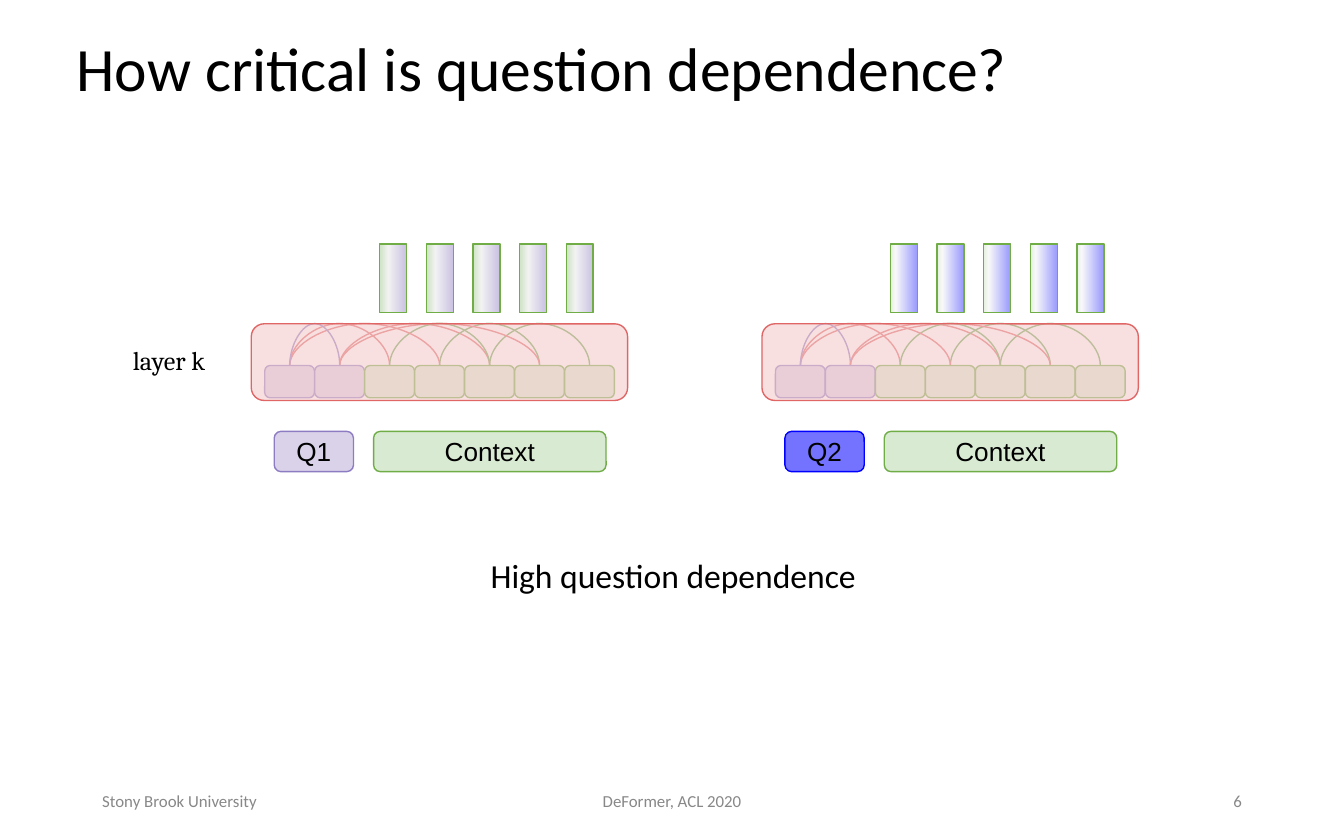
from lxml import etree
from pptx import Presentation
from pptx.dml.color import RGBColor
from pptx.enum.shapes import MSO_CONNECTOR, MSO_SHAPE
from pptx.enum.text import MSO_ANCHOR, PP_ALIGN
from pptx.oxml import parse_xml
from pptx.oxml.ns import nsdecls, qn
from pptx.util import Inches, Pt

LEFT, CENTER, RIGHT = PP_ALIGN.LEFT, PP_ALIGN.CENTER, PP_ALIGN.RIGHT
TOP, MIDDLE = MSO_ANCHOR.TOP, MSO_ANCHOR.MIDDLE
RECT, ROUND = MSO_SHAPE.RECTANGLE, MSO_SHAPE.ROUNDED_RECTANGLE
CURVE = MSO_CONNECTOR.CURVE

THEME = {
    "black": "000000", "gray": "888888",
    "question": ("D9D2E9", "8E7CC3"), "context": ("D9EAD3", "70AD47"),
    "layer": ("F4CCCC", "E06666"), "blue": ("0000FF", "0000FF"),
    "cross": "E06666", "within": "6AA84F", "q_arc": "8E7CC3",
    "title_pt": 33, "caption_pt": 18, "label_pt": 14, "footer_pt": 9,
    "line_pt": 0.75, "corner": 0.167,
}

# Content: text, box, font, size, colour, alignment, anchor, insets (x, y)
THIN, WIDE = (0.07, 0.04), (0.1, 0.1)
TEXTS = [
    ("How critical is question dependence?", (0.5, 0.12, 9, 0.83),
     "Calibri", "title_pt", "black", LEFT, MIDDLE, THIN),
    ("Stony Brook University", (0.69, 5.79, 2.25, 0.33),
     "Calibri", "footer_pt", "gray", LEFT, MIDDLE, THIN),
    ("DeFormer, ACL 2020", (3.31, 5.79, 3.38, 0.33),
     "Calibri", "footer_pt", "gray", CENTER, MIDDLE, THIN),
    ("6", (7.06, 5.79, 2.25, 0.33),
     "Calibri", "footer_pt", "gray", RIGHT, MIDDLE, THIN),
    ("High question dependence", (3.4, 4.08, 3.22, 0.4),
     "Calibri", "caption_pt", "black", CENTER, MIDDLE, WIDE),
    ("layer k", (0.89, 2.46, 0.99, 0.4),
     "Cambria", "label_pt", "black", LEFT, TOP, WIDE),
]
# Each model: left edge, question, its colours and opacity, slab gradient, slab opacity
MODELS = [
    (1.87, "Q1", "question", 100,
     [(0, "B4A7D6"), (67, "EFEFEF"), (100, "B6D7A8")], 71),
    (5.67, "Q2", "blue", 55,
     [(0, "0000FF"), (80, "F3F3F3"), (100, "B6D7A8")], 40),
]
CELLS = ["question"] * 2 + ["context"] * 5
# Attention arcs: from cell, to cell, colour
ARCS = [(1, 4, "cross"), (0, 2, "cross"), (2, 4, "within"), (3, 5, "within"),
        (0, 3, "cross"), (0, 1, "q_arc"), (4, 6, "within"), (1, 5, "cross")]

# Geometry in inches
CELL_W, CELL_H, CELL_Y, CELL_INSET = 0.37, 0.24, 2.72, 0.1
CELL_PITCH = 0.372
ARC_H, ARC_RATIO = 0.29, 396.875
SLABS, SLAB_LEN, SLAB_W, SLAB_Y = 5, 0.51, 0.2, 1.97
SLAB_INSET, SLAB_PITCH = 0.8, 0.347


def rgb(value):
    return RGBColor.from_string(value)


def write(s, text, font, size, color, align, anchor, inset):
    tf = s.text_frame
    tf.word_wrap = True
    tf.vertical_anchor = anchor
    tf.margin_left = tf.margin_right = Inches(inset[0])
    tf.margin_top = tf.margin_bottom = Inches(inset[1])
    p = tf.paragraphs[0]
    p.alignment = align
    r = p.add_run()
    r.text = text
    r.font.name, r.font.size = font, Pt(THEME[size])
    r.font.color.rgb = rgb(THEME[color])
    return p


def add_box(slide, kind, box, colors, opacity=100):
    s = slide.shapes.add_shape(kind, *map(Inches, box))
    s.shadow.inherit = False
    if kind == ROUND:
        s.adjustments[0] = THEME["corner"]
    fill, line = THEME[colors]
    s.fill.solid()
    s.fill.fore_color.rgb = rgb(fill)
    if opacity < 100:
        clr = s.fill._xPr.find(qn("a:solidFill"))[0]
        etree.SubElement(clr, qn("a:alpha")).set("val", str(opacity * 1000))
    s.line.color.rgb = rgb(line)
    s.line.width = Pt(THEME["line_pt"])
    return s


def add_label(slide, box, text, colors, opacity=100):
    s = add_box(slide, ROUND, box, colors, opacity)
    write(s, text, "Arial", "label_pt", "black", CENTER, MIDDLE, WIDE)


def add_slab(slide, x, stops, opacity):
    s = add_box(slide, RECT, (x, SLAB_Y, SLAB_LEN, SLAB_W), "context")
    s.rotation = 90
    gs = "".join(f'<a:gs pos="{pos * 1000}"><a:srgbClr val="{color}">'
                 f'<a:alpha val="{opacity * 1000}"/></a:srgbClr></a:gs>'
                 for pos, color in stops)
    grad = parse_xml(f'<a:gradFill rotWithShape="1" {nsdecls("a")}><a:gsLst>{gs}'
                     '</a:gsLst><a:lin ang="5400000" scaled="0"/></a:gradFill>')
    solid = s._element.spPr.find(qn("a:solidFill"))
    solid.getparent().replace(solid, grad)


def add_arc(slide, x0, x1, color):
    # A hair-thin curve turned upright; its adjustment sets the arc height
    span = x1 - x0
    c = slide.shapes.add_connector(CURVE, 0, 0, 0, 0)
    c.left, c.top = Inches((x0 + x1) / 2), Inches(CELL_Y - span / 2)
    c.width, c.height = Inches(ARC_H / ARC_RATIO), Inches(span)
    c.line.color.rgb = rgb(THEME[color])
    c.line.width = Pt(THEME["line_pt"])
    spPr = c._element.spPr
    spPr.xfrm.set("rot", "16200000")
    spPr.xfrm.set("flipH", "1")
    guide = etree.SubElement(spPr.find(".//" + qn("a:avLst")), qn("a:gd"))
    guide.set("name", "adj1")
    guide.set("fmla", f"val {round(-ARC_RATIO * 100000)}")
    etree.SubElement(spPr, qn("a:effectLst"))


def add_model(slide, left, question, colors, opacity, stops, slab_opacity):
    # Input labels
    add_label(slide, (left + 0.91, 3.21, 1.73, 0.3), "Context", "context")
    add_label(slide, (left + 0.17, 3.21, 0.59, 0.3), question, colors, opacity)
    # Attention arcs between cell centres, then cells under the layer veil
    xs = [left + CELL_INSET + i * CELL_PITCH for i in range(len(CELLS))]
    for start, end, color in ARCS:
        add_arc(slide, xs[start] + CELL_W / 2, xs[end] + CELL_W / 2, color)
    for x, kind in zip(xs, CELLS):
        add_box(slide, ROUND, (x, CELL_Y, CELL_W, CELL_H), kind)
    add_box(slide, ROUND, (left, 2.41, 2.8, 0.57), "layer", 60)
    # Output vectors
    for i in range(SLABS):
        add_slab(slide, left + SLAB_INSET + i * SLAB_PITCH, stops, slab_opacity)


def main():
    prs = Presentation()
    prs.slide_width, prs.slide_height = Inches(10), Inches(6.25)
    slide = prs.slides.add_slide(prs.slide_layouts[6])
    # Title, footer and captions
    for text, box, *style in TEXTS:
        s = slide.shapes.add_textbox(*map(Inches, box))
        p = write(s, text, *style)
        if style[1] == "title_pt":
            p.line_spacing = 0.9
    # The two models side by side
    for model in MODELS:
        add_model(slide, *model)
    prs.save("out.pptx")


if __name__ == "__main__":
    main()
